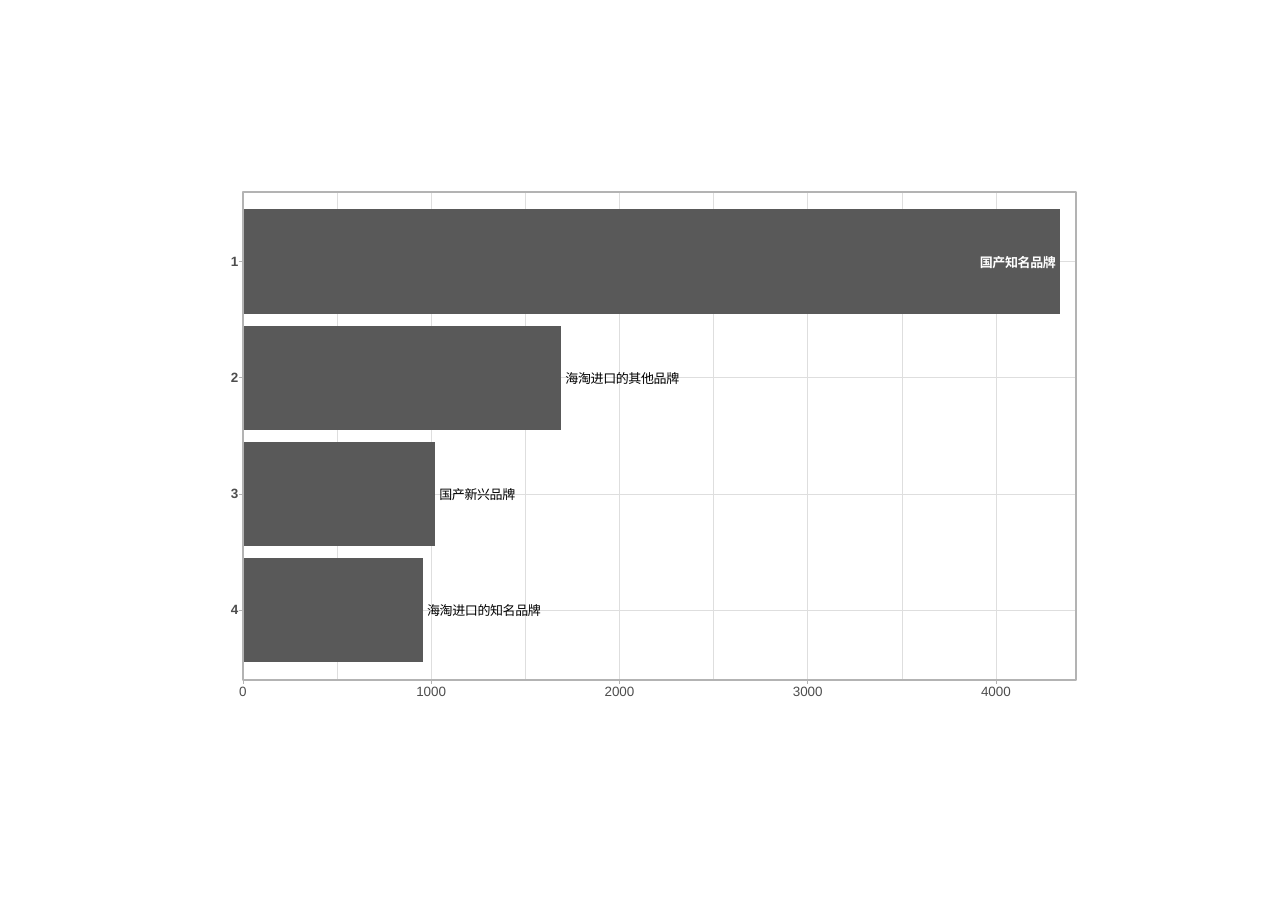
import pptx
import pptx.chart.data
import pptx.dml.color
import pptx.enum.chart
import pptx.enum.shapes
import pptx.enum.text
import pptx.oxml
import pptx.oxml.ns
import pptx.util
import lxml.etree

POSITION = pptx.enum.chart.XL_LABEL_POSITION
BARS = [
    ("1", "国产知名品牌", 4340, "FFFFFF", True, POSITION.INSIDE_END),
    ("2", "海淘进口的其他品牌", 1690, "000000", False, POSITION.OUTSIDE_END),
    ("3", "国产新兴品牌", 1020, "000000", False, POSITION.OUTSIDE_END),
    ("4", "海淘进口的知名品牌", 955, "000000", False, POSITION.OUTSIDE_END),
]
SCALE_MAX = 4425
MINOR_STEP = 500
MAJOR_STEP = 1000
GRID, FRAME, BAR, AXIS_TEXT = "DEDEDE", "B3B3B3", "595959", "4D4D4D"

PAGE_WIDTH, PAGE_HEIGHT = 1288, 911
CHART_LEFT, CHART_TOP, CHART_WIDTH, CHART_HEIGHT = 204, 183, 881, 544
LEFT, TOP, WIDTH, HEIGHT = 243, 192, 833, 488
RIGHT, BOTTOM = LEFT + WIDTH, TOP + HEIGHT
TICK = 4
PITCH = HEIGHT / (len(BARS) + 0.2)
FIRST_BAND = TOP + 0.1 * PITCH


def px(length):
    return round(length * 914400 / 110.1)


def colour(value):
    return pptx.dml.color.RGBColor.from_string(value)


def apply(target, values):
    for name, value in values.items():
        setattr(target, name, value)


def set_font(font, size, shade, bold=False):
    apply(font, {"name": "Arial", "size": pptx.util.Pt(size), "bold": bold})
    font.color.rgb = colour(shade)


def add_line(page, start, end, shade, points):
    line = page.shapes.add_connector(
        pptx.enum.shapes.MSO_CONNECTOR.STRAIGHT, *map(px, start + end))
    line.line.color.rgb = colour(shade)
    line.line.width = pptx.util.Pt(points)
    lxml.etree.SubElement(line._element.spPr, pptx.oxml.ns.qn("a:effectLst"))


def chart_element(content):
    return pptx.oxml.parse_xml(
        content.replace(">", " " + pptx.oxml.ns.nsdecls("c", "a") + ">", 1))


def place_plot(chart):
    plot_area = chart._chartSpace.chart.plotArea
    for layout in plot_area.findall(pptx.oxml.ns.qn("c:layout")):
        plot_area.remove(layout)
    shares = {
        "x": (LEFT - CHART_LEFT) / CHART_WIDTH,
        "y": (FIRST_BAND - CHART_TOP) / CHART_HEIGHT,
        "w": WIDTH / CHART_WIDTH,
        "h": PITCH * len(BARS) / CHART_HEIGHT,
    }
    parts = '<c:layoutTarget val="inner"/><c:xMode val="edge"/><c:yMode val="edge"/>'
    parts += "".join(f'<c:{key} val="{share:.5f}"/>' for key, share in shares.items())
    plot_area.insert(0, chart_element(
        f"<c:layout><c:manualLayout>{parts}</c:manualLayout></c:layout>"))
    clear = "<c:spPr><a:noFill/><a:ln><a:noFill/></a:ln></c:spPr>"
    plot_area.append(chart_element(clear))
    chart._chartSpace.find(pptx.oxml.ns.qn("c:txPr")).addprevious(chart_element(clear))


def add_bars(page):
    data = pptx.chart.data.CategoryChartData()
    data.categories = [bar[0] for bar in BARS]
    data.add_series("品牌", [bar[2] for bar in BARS])
    chart = page.shapes.add_chart(
        pptx.enum.chart.XL_CHART_TYPE.BAR_CLUSTERED,
        *map(px, (CHART_LEFT, CHART_TOP, CHART_WIDTH, CHART_HEIGHT)), data).chart
    apply(chart, {"has_title": False, "has_legend": False})
    set_font(chart.font, 8.5, "000000")
    apply(chart.value_axis, {
        "minimum_scale": 0, "maximum_scale": SCALE_MAX, "major_unit": MAJOR_STEP,
        "has_major_gridlines": False, "visible": False})
    axis = chart.category_axis
    apply(axis, {"reverse_order": True, "has_major_gridlines": False,
                 "major_tick_mark": pptx.enum.chart.XL_TICK_MARK.NONE})
    axis.format.line.fill.background()
    set_font(axis.tick_labels.font, 8.8, AXIS_TEXT, True)
    plot = chart.plots[0]
    apply(plot, {"gap_width": 11, "vary_by_categories": False})
    series = plot.series[0]
    series.invert_if_negative = False
    series.format.fill.solid()
    series.format.fill.fore_color.rgb = colour(BAR)
    for index, (_, name, _, shade, bold, position) in enumerate(BARS):
        label = series.points[index].data_label
        span = label.text_frame.paragraphs[0].add_run()
        span.text = name
        set_font(span.font, 8.5, shade, bold)
        label.position = position
    place_plot(chart)


def add_scale_label(page, value, x):
    box = page.shapes.add_textbox(*map(px, (x - 30, BOTTOM + 3, 60, 16)))
    apply(box.text_frame, {
        "margin_left": 0, "margin_right": 0, "margin_top": 0, "margin_bottom": 0,
        "word_wrap": True, "vertical_anchor": pptx.enum.text.MSO_ANCHOR.MIDDLE})
    para = box.text_frame.paragraphs[0]
    para.alignment = pptx.enum.text.PP_ALIGN.CENTER
    span = para.add_run()
    span.text = str(value)
    set_font(span.font, 8.8, AXIS_TEXT)


def add_frame(page):
    frame = page.shapes.add_shape(
        pptx.enum.shapes.MSO_SHAPE.RECTANGLE, *map(px, (LEFT, TOP, WIDTH, HEIGHT)))
    frame.shadow.inherit = False
    frame.fill.background()
    frame.line.color.rgb = colour(FRAME)
    frame.line.width = pptx.util.Pt(1.07)


def main():
    deck = pptx.Presentation()
    apply(deck, {"slide_width": px(PAGE_WIDTH), "slide_height": px(PAGE_HEIGHT)})
    page = deck.slides.add_slide(deck.slide_layouts[6])
    columns = [(value, LEFT + WIDTH * value / SCALE_MAX)
               for value in range(0, SCALE_MAX, MINOR_STEP)]
    rows = [FIRST_BAND + PITCH * (index + 0.5) for index in range(len(BARS))]
    for value, x in columns:
        points = 0.27 if value % MAJOR_STEP else 0.53
        add_line(page, (x, TOP), (x, BOTTOM), GRID, points)
    for y in rows:
        add_line(page, (LEFT, y), (RIGHT, y), GRID, 0.53)
    add_bars(page)
    add_frame(page)
    for y in rows:
        add_line(page, (LEFT - TICK, y), (LEFT, y), FRAME, 0.53)
    for value, x in columns:
        if value % MAJOR_STEP == 0:
            add_line(page, (x, BOTTOM), (x, BOTTOM + TICK), FRAME, 0.53)
            add_scale_label(page, value, x)
    deck.save("out.pptx")


if __name__ == "__main__":
    main()
